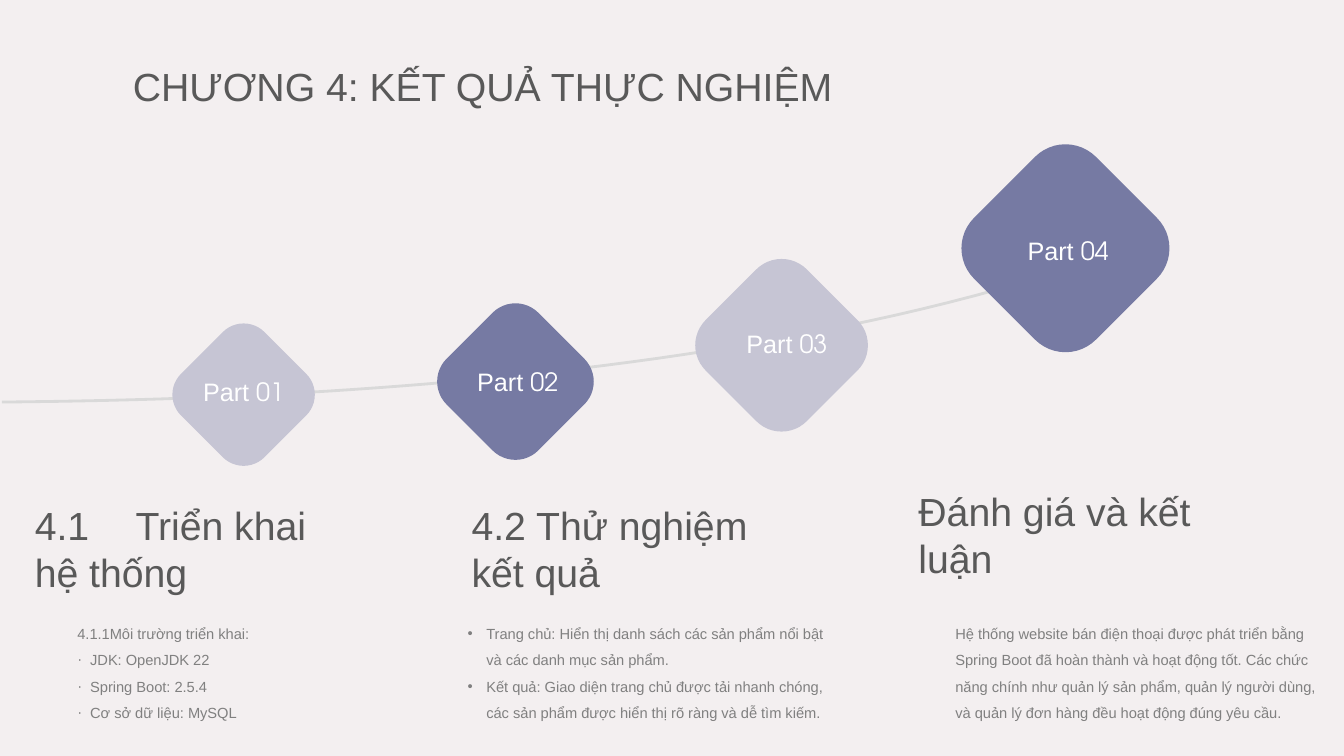
from lxml import etree
from pptx import Presentation
from pptx import util as u
from pptx.dml.color import RGBColor
from pptx.enum import shapes, text
from pptx.oxml import ns

BACKDROP = RGBColor(0xF3, 0xEF, 0xF0)
PALE = RGBColor(0xC6, 0xC5, 0xD4)
VIOLET = RGBColor(0x76, 0x7A, 0xA3)
TRACK = RGBColor(0xD9, 0xD9, 0xD9)
HEADING = RGBColor(0x59, 0x59, 0x59)
BODY = RGBColor(0x80, 0x80, 0x80)
WHITE = RGBColor(0xFF, 0xFF, 0xFF)

deck = Presentation()
deck.slide_width, deck.slide_height = u.Inches(13.33), u.Inches(7.5)
CELL = deck.slide_width / 40
slide = deck.slides.add_slide(deck.slide_layouts[6])
slide.background.fill.solid()
slide.background.fill.fore_color.rgb = BACKDROP


def text_frame(left, top, width, height):
    area = [round(n * CELL) for n in (left, top, width, height)]
    frame = slide.shapes.add_textbox(*area).text_frame
    frame.word_wrap = True
    return frame


def add_run(paragraph, wording, size, color, font="Arial"):
    run = paragraph.add_run()
    run.text = wording
    run.font.size = u.Pt(size)
    run.font.name = font
    run.font.color.rgb = color


bend = [(32.73, 7.68), (21.09, 11.67), (5.79, 11.91), (0.06, 11.97)]
STEPS = 48
track_points = []
for step in range(STEPS + 1):
    t = step / STEPS
    weights = ((1 - t) ** 3, 3 * t * (1 - t) ** 2, 3 * t * t * (1 - t), t ** 3)
    track_points.append(tuple(
        round(CELL * sum(w * point[axis] for w, point in zip(weights, bend)))
        for axis in (0, 1)))
outline = slide.shapes.build_freeform(*track_points[0])
outline.add_line_segments(track_points[1:], close=False)
track = outline.convert_to_shape()
track.shadow.inherit = False
track.fill.background()
track.line.color.rgb = TRACK
track.line.width = u.Pt(2)

CORNER = 0.25
SPAN_PER_SIDE = 2 ** 0.5 - 2 * CORNER * (2 ** 0.5 - 1)
milestones = [
    ("01", 7.25, 11.75, 4.24, PALE, 7.25, 11.07),
    ("02", 15.34, 11.36, 4.66, VIOLET, 15.41, 10.77),
    ("03", 23.26, 10.28, 5.14, PALE, 23.42, 9.63),
    ("04", 31.71, 7.39, 6.19, VIOLET, 31.79, 6.87),
]
LABEL_WIDTH = 4.89
for number, x, y, span, color, label_x, label_top in milestones:
    side = span / SPAN_PER_SIDE
    area = [round(n * CELL) for n in (x - side / 2, y - side / 2, side, side)]
    diamond = slide.shapes.add_shape(shapes.MSO_SHAPE.ROUNDED_RECTANGLE, *area)
    diamond.adjustments[0] = CORNER
    diamond.rotation = 45
    diamond.shadow.inherit = False
    diamond.fill.solid()
    diamond.fill.fore_color.rgb = color
    diamond.line.fill.background()

    label = text_frame(label_x - LABEL_WIDTH / 2, label_top, LABEL_WIDTH, 1.2).paragraphs[0]
    label.alignment = text.PP_ALIGN.CENTER
    add_run(label, "Part ", 18, WHITE)
    add_run(label, number, 18, WHITE, "TeX Gyre Adventor")

title = text_frame(3.66, 1.7, 34.98, 2.01).paragraphs[0]
add_run(title, "CHƯƠNG 4: KẾT QUẢ THỰC NGHIỆM", 28, HEADING)

sections = [
    ("4.1 \tTriển khai hệ thống", (0.74, 14.78, 9.93), (2.01, 11.19), 0.38, [
        ("", "4.1.1Môi trường triển khai:"),
        ("·", "JDK: OpenJDK 22"),
        ("·", "Spring Boot: 2.5.4"),
        ("·", "Cơ sở dữ liệu: MySQL"),
    ]),
    ("4.2 Thử nghiệm kết quả", (13.74, 14.77, 10.5), (13.62, 11.49), 0.56, [
        ("•", "Trang chủ: Hiển thị danh sách các sản phẩm nổi bật và các danh mục sản phẩm."),
        ("•", "Kết quả: Giao diện trang chủ được tải nhanh chóng, "
              "các sản phẩm được hiển thị rõ ràng và dễ tìm kiếm."),
    ]),
    ("Đánh giá và kết luận", (27.04, 14.37, 10.32), (28.14, 11.58), 0, [
        ("", "Hệ thống website bán điện thoại được phát triển bằng Spring Boot "
             "đã hoàn thành và hoạt động tốt. Các chức năng chính như quản lý sản phẩm, "
             "quản lý người dùng, và quản lý đơn hàng đều hoạt động đúng yêu cầu."),
    ]),
]
for heading, heading_area, (body_left, body_width), hang, lines in sections:
    add_run(text_frame(*heading_area, 3.42).paragraphs[0], heading, 28, HEADING)
    body = text_frame(body_left, 18.18, body_width, 3.39)
    for index, (mark, wording) in enumerate(lines):
        paragraph = body.add_paragraph() if index else body.paragraphs[0]
        paragraph.line_spacing = 1.5
        if mark:
            properties = paragraph._p.get_or_add_pPr()
            properties.set("marL", str(round(hang * CELL)))
            properties.set("indent", str(-round(hang * CELL)))
            bullet_font = etree.SubElement(properties, ns.qn("a:buFont"))
            bullet_font.set("typeface", "Arial")
            etree.SubElement(properties, ns.qn("a:buChar")).set("char", mark)
        add_run(paragraph, wording, 10.5, BODY)

deck.save("out.pptx")
